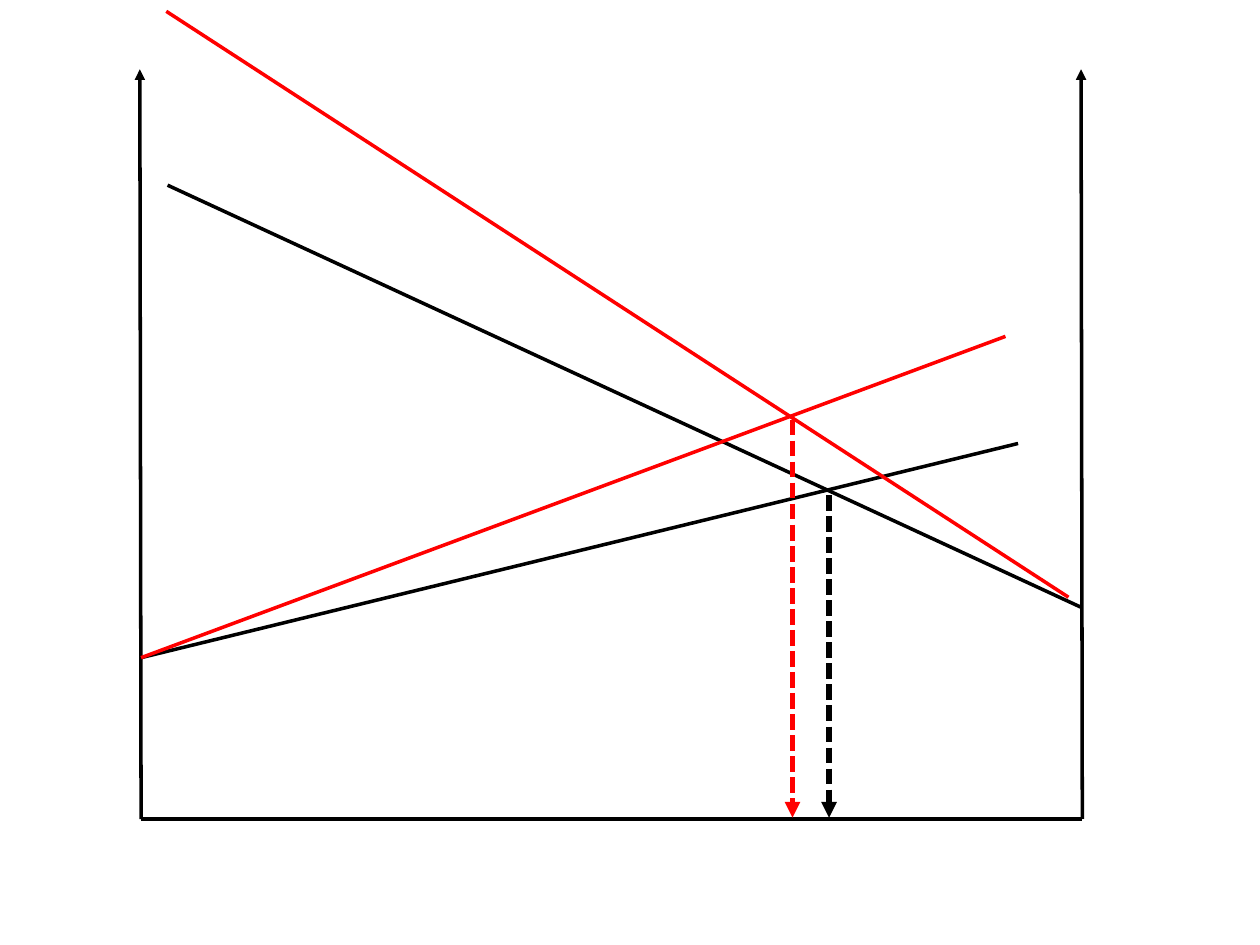
from lxml import etree
from pptx import Presentation
from pptx.dml.color import RGBColor
from pptx.enum.dml import MSO_LINE
from pptx.enum.shapes import MSO_CONNECTOR
from pptx.oxml.ns import qn
from pptx.util import Pt

STRAIGHT = MSO_CONNECTOR.STRAIGHT
DASH = MSO_LINE.SQUARE_DOT
BLACK = RGBColor(0, 0, 0)
RED = RGBColor(255, 0, 0)

LEFT, RIGHT = 80.64, 618.48
TOP, BASE = 39.6, 468
LEAN = 0.72  # the axes tilt slightly to the left
START = (LEFT, 375.84)  # shared origin of the rising curves


def add_line(slide, start, end, color=BLACK, width=2, dash=None, arrow=False):
    ends = [Pt(v) for v in (*start, *end)]
    link = slide.shapes.add_connector(STRAIGHT, *ends)
    link.line.color.rgb = color
    link.line.width = Pt(width)
    if dash is not None:
        link.line.dash_style = dash
    props = link.element.spPr
    if arrow:
        etree.SubElement(props.find(qn("a:ln")), qn("a:tailEnd"), type="triangle")
    etree.SubElement(props, qn("a:effectLst"))


def add_axis(slide, x):
    add_line(slide, (x, BASE), (x - LEAN, TOP), arrow=True)


def add_drop(slide, x, y, color):
    """Dashed arrow from a crossing point down to the base line."""
    add_line(slide, (x, y), (x, BASE - LEAN), color, width=3, dash=DASH, arrow=True)


def main():
    deck = Presentation()
    deck.slide_width, deck.slide_height = Pt(720), Pt(540)
    slide = deck.slides.add_slide(deck.slide_layouts.get_by_name("Blank"))

    add_axis(slide, LEFT)
    add_line(slide, (LEFT, BASE), (RIGHT, BASE))
    add_axis(slide, RIGHT)

    curves = [
        (START, (581.76, 253.44), BLACK),
        ((95.76, 105.84), (617.76, 347.04), BLACK),
        (START, (574.56, 192.24), RED),
        ((95.04, 6.48), (610.56, 341.28), RED),
    ]
    for start, end, color in curves:
        add_line(slide, start, end, color)

    add_drop(slide, 473.76, 282.96, BLACK)
    add_drop(slide, 452.88, 239.76, RED)

    deck.save("out.pptx")


if __name__ == "__main__":
    main()
